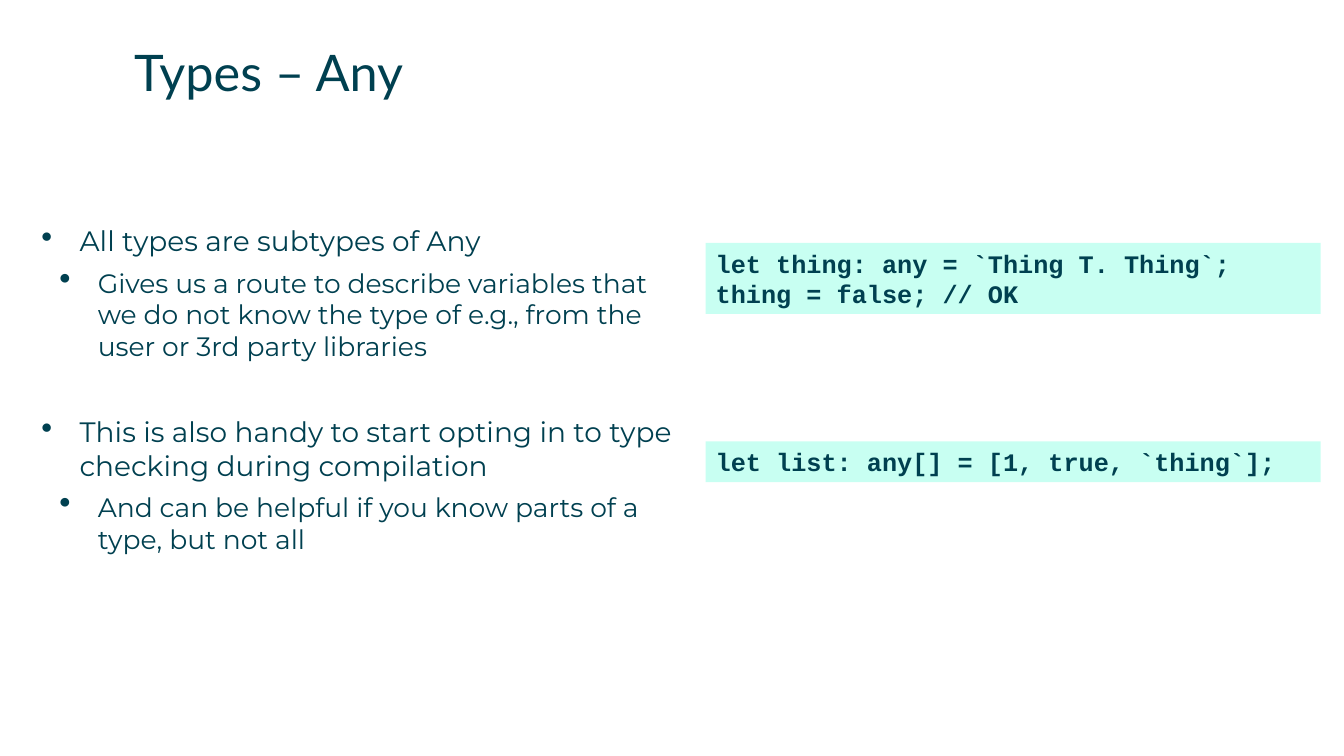
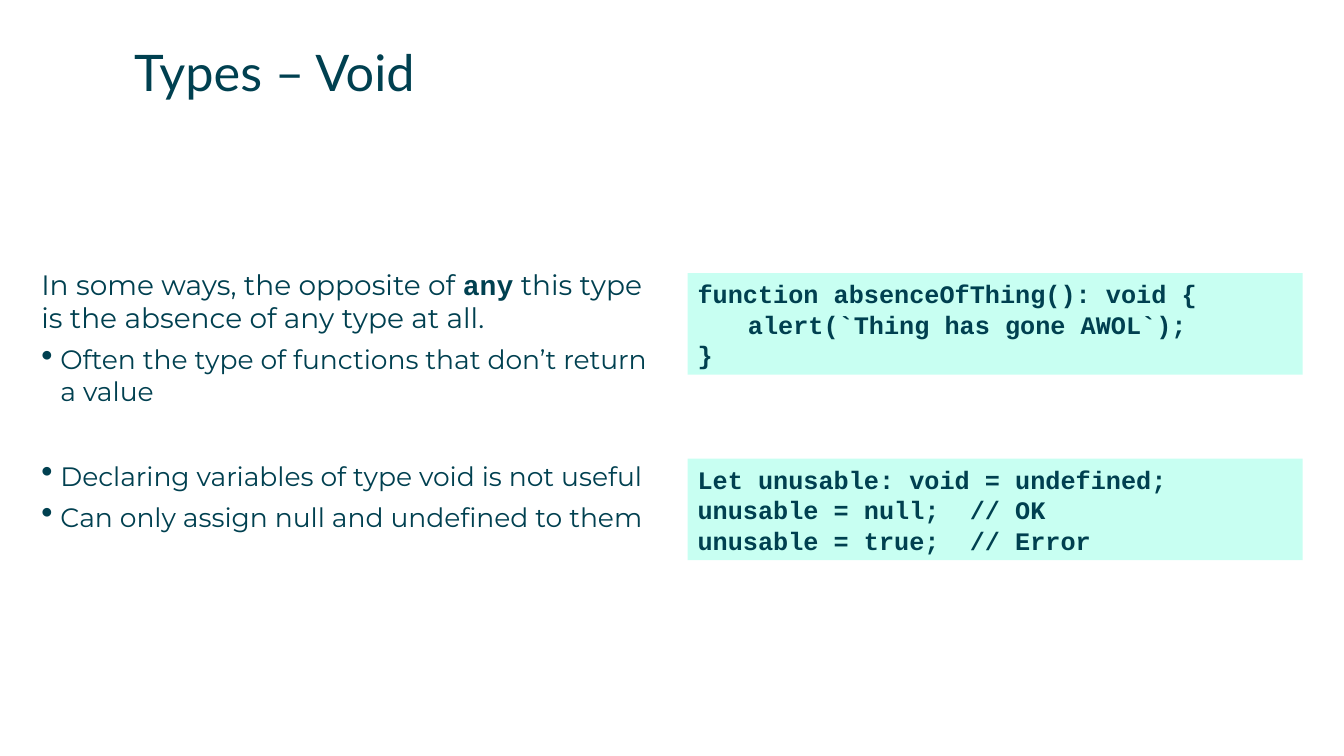
from dataclasses import dataclass

from lxml.etree import SubElement
from pptx import Presentation
from pptx.dml.color import RGBColor
from pptx.enum.shapes import MSO_SHAPE
from pptx.enum.text import MSO_ANCHOR, MSO_AUTO_SIZE, PP_ALIGN
from pptx.oxml.ns import qn
from pptx.slide import Slide
from pptx.text.text import TextFrame, _Paragraph
from pptx.util import Inches, Length, Pt


@dataclass(frozen=True)
class Theme:
    ink: RGBColor = RGBColor(0x00, 0x40, 0x50)
    code_fill: RGBColor = RGBColor(0xC8, 0xFF, 0xF2)
    title_font: str = "Lato"
    body_font: str = "Montserrat"
    code_font: str = "Courier New"
    title_size: Length = Pt(36)
    lead_size: Length = Pt(20)
    detail_size: Length = Pt(19)
    code_size: Length = Pt(18)
    code_line: Length = Pt(21.8)
    paragraph_gap: Length = Pt(6.5)
    section_gap: Length = Pt(31)


THEME = Theme()


@dataclass(frozen=True)
class Level:
    """Look of one kind of body paragraph; no bullet_percent means no bullet."""
    depth: int
    size: Length
    indent: Length = Inches(0)
    hanging: Length = Inches(0)
    bullet_percent: int = 0


LEAD = Level(0, THEME.lead_size)
POINT = Level(0, THEME.lead_size, Inches(0.38), Inches(0.38), 115)
SUBPOINT = Level(1, THEME.detail_size, Inches(0.56), Inches(0.38), 125)
DETAIL = Level(1, THEME.detail_size, Inches(0.19), Inches(0.19), 125)


@dataclass(frozen=True)
class Text:
    content: str
    code: bool = False


@dataclass(frozen=True)
class Item:
    level: Level
    texts: tuple[Text, ...]
    new_section: bool = False


@dataclass(frozen=True)
class CodeBox:
    top: Length
    lines: tuple[str, ...]


@dataclass(frozen=True)
class Page:
    title: str
    body_top: Length
    body_width: Length
    items: tuple[Item, ...]
    code_left: Length
    code_boxes: tuple[CodeBox, ...]


PAGES = (
    Page(
        "Types – Any", Inches(2.22), Inches(6.38),
        (
            Item(POINT, (Text("All types are subtypes of Any"),)),
            Item(SUBPOINT, (Text(
                "Gives us a route to describe variables that we do not know "
                "the type of e.g., from the user or 3rd party libraries"),)),
            Item(POINT, (Text(
                "This is also handy to start opting in to type checking "
                "during compilation"),), new_section=True),
            Item(SUBPOINT, (Text(
                "And can be helpful if you know parts of a type, but not all"),)),
        ),
        Inches(7),
        (
            CodeBox(Inches(2.41), ("let thing: any = `Thing T. Thing`;",
                                   "thing = false; // OK")),
            CodeBox(Inches(4.38), ("let list: any[] = [1, true, `thing`];",)),
        ),
    ),
    Page(
        "Types – Void", Inches(2.65), Inches(6.13),
        (
            Item(LEAD, (Text("In some ways, the opposite of "),
                        Text("any", code=True),
                        Text(" this type is the absence of any type at all."))),
            Item(DETAIL, (Text(
                "Often the type of functions that don’t return a value"),)),
            Item(DETAIL, (Text("Declaring variables of type void is not useful"),),
                 new_section=True),
            Item(DETAIL, (Text("Can only assign null and undefined to them"),)),
        ),
        Inches(6.82),
        (
            CodeBox(Inches(2.71), ("function absenceOfThing(): void {",
                                   "\talert(`Thing has gone AWOL`);",
                                   "}")),
            CodeBox(Inches(4.55), ("Let unusable: void = undefined;",
                                   "unusable = null;  // OK",
                                   "unusable = true;  // Error")),
        ),
    ),
)


def apply_format(target: object, values: dict[str, object]) -> None:
    for name, value in values.items():
        setattr(target, name, value)


def add_span(para: _Paragraph, content: str, font: str, size: Length,
             bold: bool = False) -> None:
    span = para.add_run()
    span.text = content
    apply_format(span.font, {"name": font, "size": size, "bold": bold})
    span.font.color.rgb = THEME.ink


def clear_margins(frame: TextFrame) -> None:
    apply_format(frame, {
        "margin_left": 0, "margin_top": 0, "margin_right": 0, "margin_bottom": 0,
        "word_wrap": True, "auto_size": MSO_AUTO_SIZE.NONE,
        "vertical_anchor": MSO_ANCHOR.TOP,
    })


def next_paragraph(frame: TextFrame, index: int) -> _Paragraph:
    return frame.add_paragraph() if index else frame.paragraphs[0]


def set_bullet(para: _Paragraph, level: Level) -> None:
    properties = para._p.get_or_add_pPr()
    properties.set("marL", str(level.indent))
    properties.set("indent", str(-level.hanging))
    if level.bullet_percent:
        SubElement(properties, qn("a:buSzPct"), val=str(level.bullet_percent * 1000))
        SubElement(properties, qn("a:buChar"), char="•")


def add_title(slide: Slide, title: str) -> None:
    box = slide.shapes.title
    apply_format(box, {"left": Inches(1.33), "top": Inches(0.41),
                       "width": Inches(11.59), "height": Inches(0.57)})
    clear_margins(box.text_frame)
    para = box.text_frame.paragraphs[0]
    para.alignment = PP_ALIGN.LEFT
    add_span(para, title, THEME.title_font, THEME.title_size)


def add_body(slide: Slide, page: Page) -> None:
    box = slide.shapes.add_textbox(Inches(0.41), page.body_top, page.body_width,
                                   Inches(7.09) - page.body_top)
    clear_margins(box.text_frame)
    for index, item in enumerate(page.items):
        para = next_paragraph(box.text_frame, index)
        apply_format(para, {
            "level": item.level.depth,
            "space_before": THEME.section_gap if item.new_section else Pt(0),
            "space_after": THEME.paragraph_gap,
        })
        set_bullet(para, item.level)
        for text in item.texts:
            font = THEME.code_font if text.code else THEME.body_font
            add_span(para, text.content, font, item.level.size, text.code)


def add_code_box(slide: Slide, left: Length, code: CodeBox) -> None:
    height = len(code.lines) * THEME.code_line + Inches(0.1)
    box = slide.shapes.add_shape(MSO_SHAPE.RECTANGLE, left, code.top,
                                 Inches(6.1), height)
    box.shadow.inherit = False
    box.fill.solid()
    box.fill.fore_color.rgb = THEME.code_fill
    box.line.fill.background()
    apply_format(box.text_frame, {
        "word_wrap": True, "auto_size": MSO_AUTO_SIZE.SHAPE_TO_FIT_TEXT,
        "vertical_anchor": MSO_ANCHOR.TOP,
    })
    for index, line in enumerate(code.lines):
        para = next_paragraph(box.text_frame, index)
        apply_format(para, {"alignment": PP_ALIGN.LEFT,
                            "line_spacing": THEME.code_line})
        add_span(para, line, THEME.code_font, THEME.code_size, bold=True)


def main() -> None:
    deck = Presentation()
    apply_format(deck, {"slide_width": Inches(13.33), "slide_height": Inches(7.5)})
    title_only = deck.slide_layouts.get_by_name("Title Only")
    for page in PAGES:
        slide = deck.slides.add_slide(title_only)
        # Heading, explanation on the left, code samples on the right
        add_title(slide, page.title)
        add_body(slide, page)
        for code in page.code_boxes:
            add_code_box(slide, page.code_left, code)
    deck.save("out.pptx")


if __name__ == "__main__":
    main()
